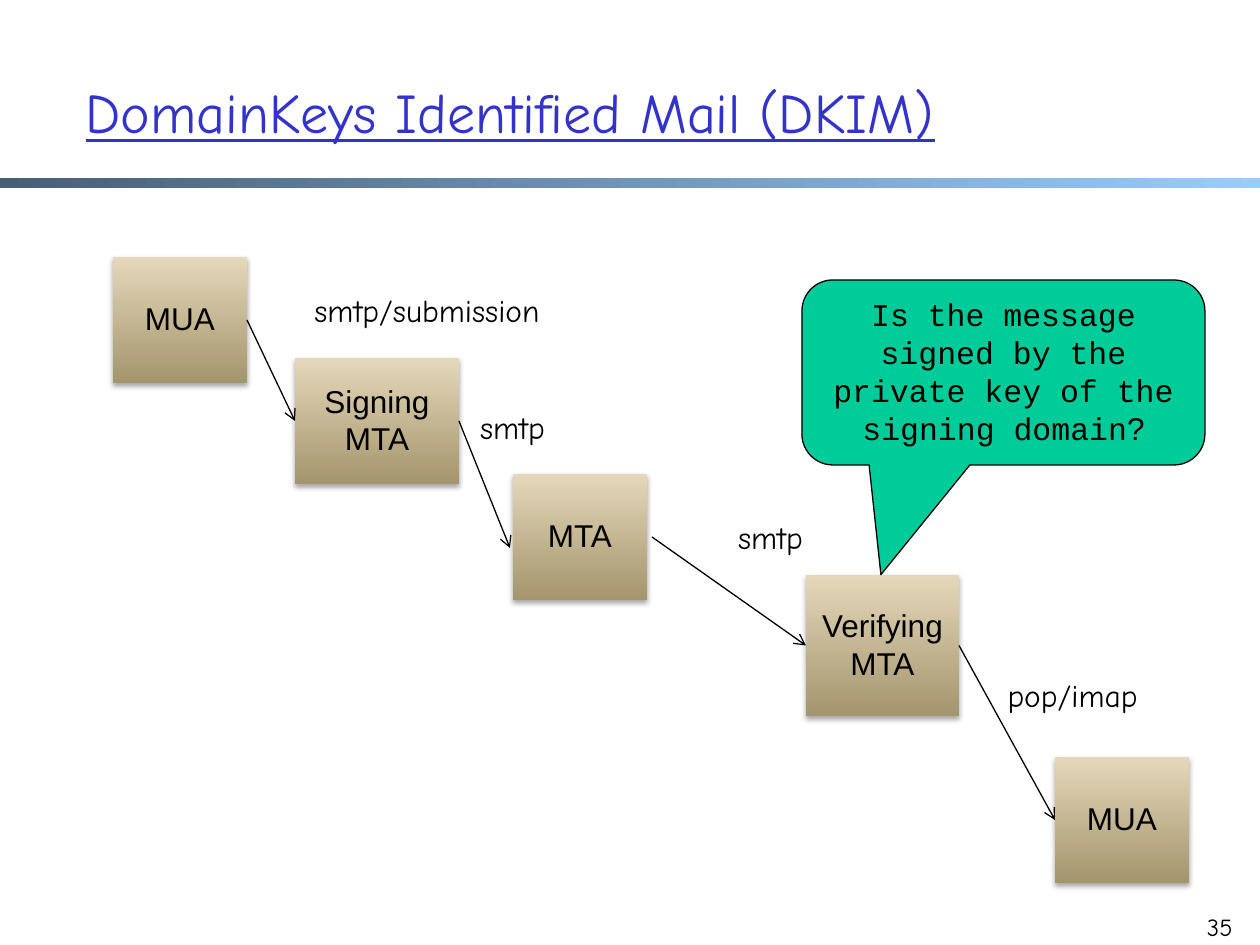
from dataclasses import dataclass

from lxml.etree import SubElement
from pptx import Presentation
from pptx.dml.color import RGBColor
from pptx.enum.shapes import MSO_CONNECTOR, MSO_SHAPE
from pptx.enum.text import MSO_ANCHOR, MSO_AUTO_SIZE, PP_ALIGN
from pptx.oxml.ns import qn
from pptx.util import Emu, Pt

PX_PER_INCH = 126
LEFT, RIGHT = 1, 3


@dataclass(frozen=True)
class Theme:
    black: str = "000000"
    title: str = "3333CC"
    bar: tuple = ("475E76", "99CCFF")
    server: tuple = ("A4956D", "E5D8BA")
    callout: str = "00CC99"
    hand: str = "Comic Neue"
    sans: str = "Arial"
    mono: str = "Courier New"
    title_size: int = 32
    body_size: int = 18
    number_size: int = 14
    line_width: float = 0.75


THEME = Theme()


def px(value):
    return Emu(round(value * 914400 / PX_PER_INCH))


def rgb(value):
    return RGBColor.from_string(value)


def style_font(font, name, size, color=THEME.black):
    font.name = name
    font.size = Pt(size)
    font.color.rgb = rgb(color)


def fill_gradient(shape, colors, angle):
    shape.fill.gradient()
    shape.fill.gradient_angle = angle
    for stop, color in zip(shape.fill.gradient_stops, colors):
        stop.color.rgb = rgb(color)


def add_shadow(shape):
    """Give the shape a soft shadow straight below it."""
    effects = shape._element.spPr.find(qn("a:effectLst"))
    shadow = SubElement(effects, qn("a:outerShdw"), blurRad=str(Pt(3.1)),
                        dist=str(Pt(1.8)), dir="5400000", rotWithShape="0")
    color = SubElement(shadow, qn("a:srgbClr"), val=THEME.black)
    SubElement(color, qn("a:alpha"), val="35000")


def add_plain_shape(page, kind, left, top, width, height):
    shape = page.shapes.add_shape(kind, px(left), px(top), px(width), px(height))
    shape.shadow.inherit = False
    return shape


def add_title(page, text):
    title = page.shapes.title
    title.left, title.top, title.width, title.height = px(73), px(32), px(1071), px(158)
    frame = title.text_frame
    frame.auto_size = MSO_AUTO_SIZE.NONE
    frame.vertical_anchor = MSO_ANCHOR.MIDDLE
    para = frame.paragraphs[0]
    para.text = text
    para.alignment = PP_ALIGN.LEFT
    style_font(para.font, THEME.hand, THEME.title_size, THEME.title)
    para.font.underline = True


def add_bar(page):
    bar = add_plain_shape(page, MSO_SHAPE.RECTANGLE, 0, 178, 1260, 10)
    fill_gradient(bar, THEME.bar, 0)
    bar.line.fill.background()


def add_server(page, text, left, top, width=134, height=126):
    server = add_plain_shape(page, MSO_SHAPE.RECTANGLE, left, top, width, height)
    fill_gradient(server, THEME.server, 90)
    server.line.fill.background()
    add_shadow(server)
    frame = server.text_frame
    frame.margin_top = px(3)
    frame.vertical_anchor = MSO_ANCHOR.MIDDLE
    para = frame.paragraphs[0]
    para.text = text
    para.alignment = PP_ALIGN.CENTER
    style_font(para.font, THEME.sans, THEME.body_size)
    return server


def add_arrow(page, start, end, source=None, target=None):
    """Draw an arrow, joined to the right of source and the left of target."""
    arrow = page.shapes.add_connector(MSO_CONNECTOR.STRAIGHT, *map(px, start + end))
    if source is not None:
        arrow.begin_connect(source, RIGHT)
    if target is not None:
        arrow.end_connect(target, LEFT)
    arrow.line.color.rgb = rgb(THEME.black)
    arrow.line.width = Pt(THEME.line_width)
    SubElement(arrow.line._get_or_add_ln(), qn("a:tailEnd"), type="arrow")
    SubElement(arrow._element.spPr, qn("a:effectLst"))


def add_label(page, text, left, top, width, height=50, size=THEME.body_size,
              align=PP_ALIGN.CENTER, wrap=False):
    box = page.shapes.add_textbox(px(left), px(top), px(width), px(height))
    box.text_frame.word_wrap = wrap
    para = box.text_frame.paragraphs[0]
    para.text = text
    para.alignment = align
    style_font(para.font, THEME.hand, size)


def add_callout(page, question):
    callout = add_plain_shape(page, MSO_SHAPE.ROUNDED_RECTANGULAR_CALLOUT,
                              802, 280, 403, 185)
    for index, value in enumerate((-0.304, 1.093, 0.167)):
        callout.adjustments[index] = value
    callout.fill.solid()
    callout.fill.fore_color.rgb = rgb(THEME.callout)
    callout.line.color.rgb = rgb(THEME.black)
    callout.line.width = Pt(THEME.line_width)
    callout.text_frame.vertical_anchor = MSO_ANCHOR.TOP
    para = callout.text_frame.paragraphs[0]
    para.alignment = PP_ALIGN.CENTER
    for text, font_name in ((question, THEME.mono), ("?", THEME.sans)):
        span = para.add_run()
        span.text = text
        style_font(span.font, font_name, THEME.body_size)


def main():
    deck = Presentation()
    deck.slide_width, deck.slide_height = px(1260), px(945)
    page = deck.slides.add_slide(deck.slide_layouts[5])

    add_bar(page)
    add_title(page, "DomainKeys Identified Mail (DKIM)")
    add_label(page, "35", 1182, 906, 63, 63, THEME.number_size, PP_ALIGN.RIGHT, True)

    sender = add_server(page, "MUA", 113, 257)
    signer = add_server(page, "Signing\vMTA", 295, 358, width=164)
    add_server(page, "MTA", 513, 474)
    verifier = add_server(page, "Verifying\vMTA", 806, 575, width=153, height=141)
    receiver = add_server(page, "MUA", 1055, 757)

    add_arrow(page, (247, 320), (295, 421), sender, signer)
    add_arrow(page, (459, 421), (510, 548), source=signer)
    add_arrow(page, (652, 537), (806, 645), target=verifier)
    add_arrow(page, (959, 645), (1055, 820), verifier, receiver)

    for text, left, top, width in (
        ("smtp/submission", 291, 285, 272),
        ("smtp", 464, 402, 97),
        ("smtp", 722, 512, 97),
        ("pop/imap", 993, 670, 159),
    ):
        add_label(page, text, left, top, width)

    add_callout(page, "Is the message signed by the private key of the signing domain")
    deck.save("out.pptx")


if __name__ == "__main__":
    main()
